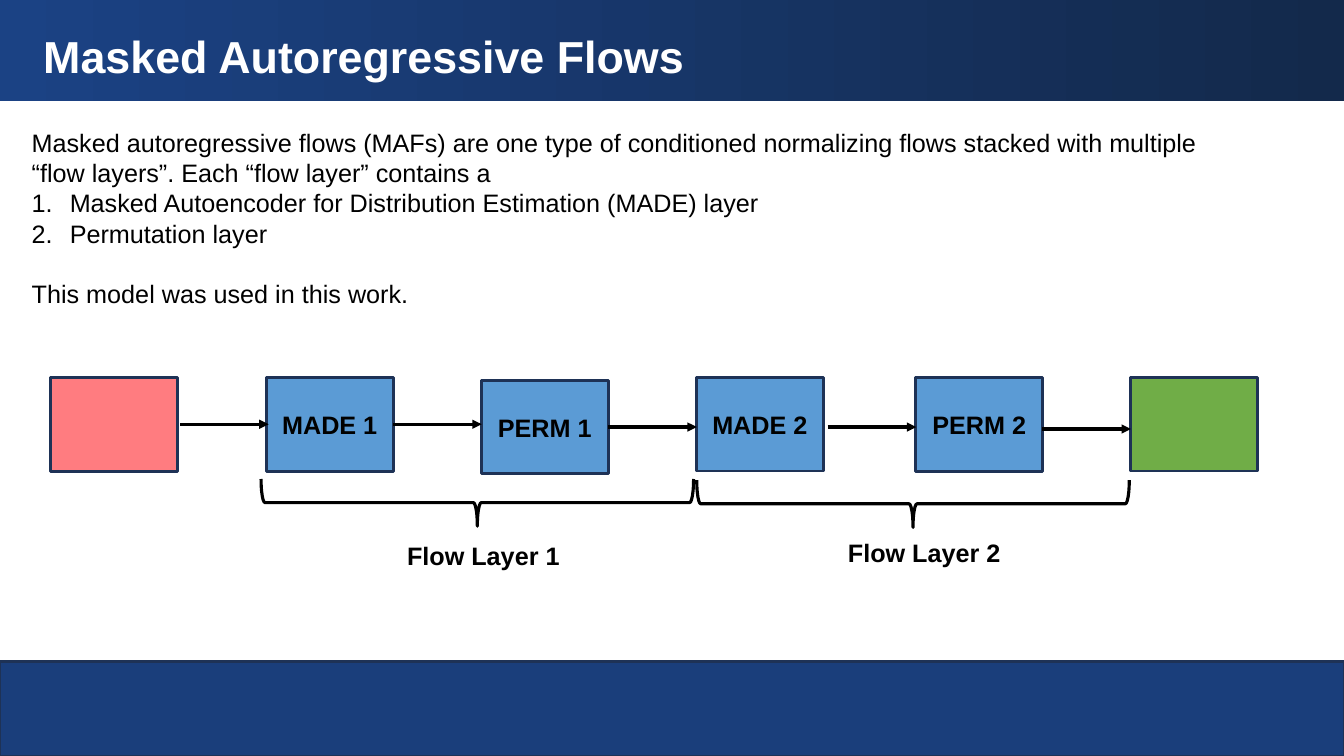
from lxml import etree
from pptx import Presentation
from pptx.dml.color import RGBColor
from pptx.enum import shapes, text
from pptx.oxml import ns
from pptx.util import Cm, Pt

WHITE = RGBColor(0xFF, 0xFF, 0xFF)
BLACK = RGBColor(0, 0, 0)
HEADER_LEFT = RGBColor(0x1B, 0x42, 0x84)
HEADER_RIGHT = RGBColor(0x13, 0x29, 0x4B)
FOOTER = RGBColor(0x1A, 0x3E, 0x7B)
OUTLINE = RGBColor(0x1E, 0x32, 0x56)
PINK = RGBColor(0xFF, 0x7C, 0x80)
BLUE = RGBColor(0x5B, 0x9B, 0xD5)
GREEN = RGBColor(0x70, 0xAD, 0x47)

FONT = "Arial"
WIDTH, HEIGHT = 33.87, 19.05
TITLE = "Masked Autoregressive Flows"
INTRO = ("Masked autoregressive flows (MAFs) are one type of conditioned normalizing flows "
         "stacked with multiple “flow layers”. Each “flow layer” contains a")
LAYERS = ["Masked Autoencoder for Distribution Estimation (MADE) layer", "Permutation layer"]
CLOSING = "This model was used in this work."

STAGES = [
    ("", PINK, 1.27, 9.52),
    ("MADE 1", BLUE, 6.71, 9.52),
    ("PERM 1", BLUE, 12.13, 9.58),
    ("MADE 2", BLUE, 17.55, 9.51),
    ("PERM 2", BLUE, 23.08, 9.52),
    ("", GREEN, 28.5, 9.51),
]
STAGE_WIDTH, STAGE_HEIGHT = 3.2, 2.36
ARROWS = [(4.54, 10.69), (9.91, 10.69), (15.33, 10.76), (20.86, 10.76), (26.27, 10.81)]
ARROW_LENGTH = 2.23
FLOW_LAYERS = [
    ("Flow Layer 1", 6.58, 12.07, 10.01, 13.48),
    ("Flow Layer 2", 17.56, 12.1, 21.12, 13.42),
]
BRACE_SPAN, BRACE_DEPTH = 10.9, 1.19

deck = Presentation()
deck.slide_width, deck.slide_height = Cm(WIDTH), Cm(HEIGHT)
page = deck.slides.add_slide(deck.slide_layouts[6])


def add_box(kind, left, top, width, height, fill=None, line=None, weight=2):
    box = page.shapes.add_shape(kind, Cm(left), Cm(top), Cm(width), Cm(height))
    box.shadow.inherit = False
    if fill is None:
        box.fill.background()
    else:
        box.fill.solid()
        box.fill.fore_color.rgb = fill
    if line is None:
        box.line.fill.background()
    else:
        box.line.color.rgb = line
        box.line.width = Pt(weight)
    return box


def add_span(para, words, size=18, bold=False, color=BLACK):
    span = para.add_run()
    span.text = words
    span.font.name, span.font.size = FONT, Pt(size)
    span.font.bold, span.font.color.rgb = bold, color


def add_text_box(left, top, width, height):
    box = page.shapes.add_textbox(Cm(left), Cm(top), Cm(width), Cm(height))
    box.text_frame.word_wrap = True
    return box.text_frame


def add_arrow(left, y):
    arrow = page.shapes.add_connector(
        shapes.MSO_CONNECTOR.STRAIGHT, Cm(left), Cm(y), Cm(left + ARROW_LENGTH), Cm(y))
    arrow.line.color.rgb = BLACK
    arrow.line.width = Pt(2.25)
    etree.SubElement(arrow.line._get_or_add_ln(), ns.qn("a:tailEnd"), type="triangle")
    etree.SubElement(arrow._element.spPr, ns.qn("a:effectLst"))


def number_paragraph(para):
    properties = para._p.get_or_add_pPr()
    properties.set("marL", str(Cm(0.96)))
    properties.set("indent", str(-Cm(0.96)))
    etree.SubElement(properties, ns.qn("a:buFont")).set("typeface", FONT)
    etree.SubElement(properties, ns.qn("a:buAutoNum")).set("type", "arabicPeriod")


RECTANGLE = shapes.MSO_SHAPE.RECTANGLE
header = add_box(RECTANGLE, 0, 0, WIDTH, 2.54, HEADER_LEFT)
header.fill.gradient()
header.fill.gradient_angle = 0
for stop, color, position in zip(header.fill.gradient_stops, (HEADER_LEFT, HEADER_RIGHT), (0, 1)):
    stop.color.rgb, stop.position = color, position
add_box(RECTANGLE, 0, 16.68, WIDTH, 2.37, FOOTER, OUTLINE)

title = add_text_box(0.84, 0.61, 23.83, 1.62)
add_span(title.paragraphs[0], TITLE, 32, True, WHITE)

body = add_text_box(0.55, 3.08, 31.17, 4.88)
add_span(body.paragraphs[0], INTRO)
for layer in LAYERS:
    para = body.add_paragraph()
    number_paragraph(para)
    add_span(para, layer)
para = body.add_paragraph()
para.space_before = Pt(21.6)
add_span(para, CLOSING)

for label, fill, left, top in STAGES:
    stage = add_box(RECTANGLE, left, top, STAGE_WIDTH, STAGE_HEIGHT, fill, OUTLINE)
    if label:
        frame = stage.text_frame
        frame.word_wrap = True
        frame.vertical_anchor = text.MSO_ANCHOR.MIDDLE
        frame.paragraphs[0].alignment = text.PP_ALIGN.CENTER
        add_span(frame.paragraphs[0], label, bold=True)

for left, y in ARROWS:
    add_arrow(left, y)

for label, left, top, label_left, label_top in FLOW_LAYERS:
    shift = (BRACE_SPAN - BRACE_DEPTH) / 2
    brace = add_box(shapes.MSO_SHAPE.LEFT_BRACE, left + shift, top - shift,
                    BRACE_DEPTH, BRACE_SPAN, line=BLACK, weight=2.25)
    brace.rotation = 270
    caption = add_text_box(label_left, label_top, 5.31, 1.02)
    add_span(caption.paragraphs[0], label, bold=True)

deck.save("out.pptx")
